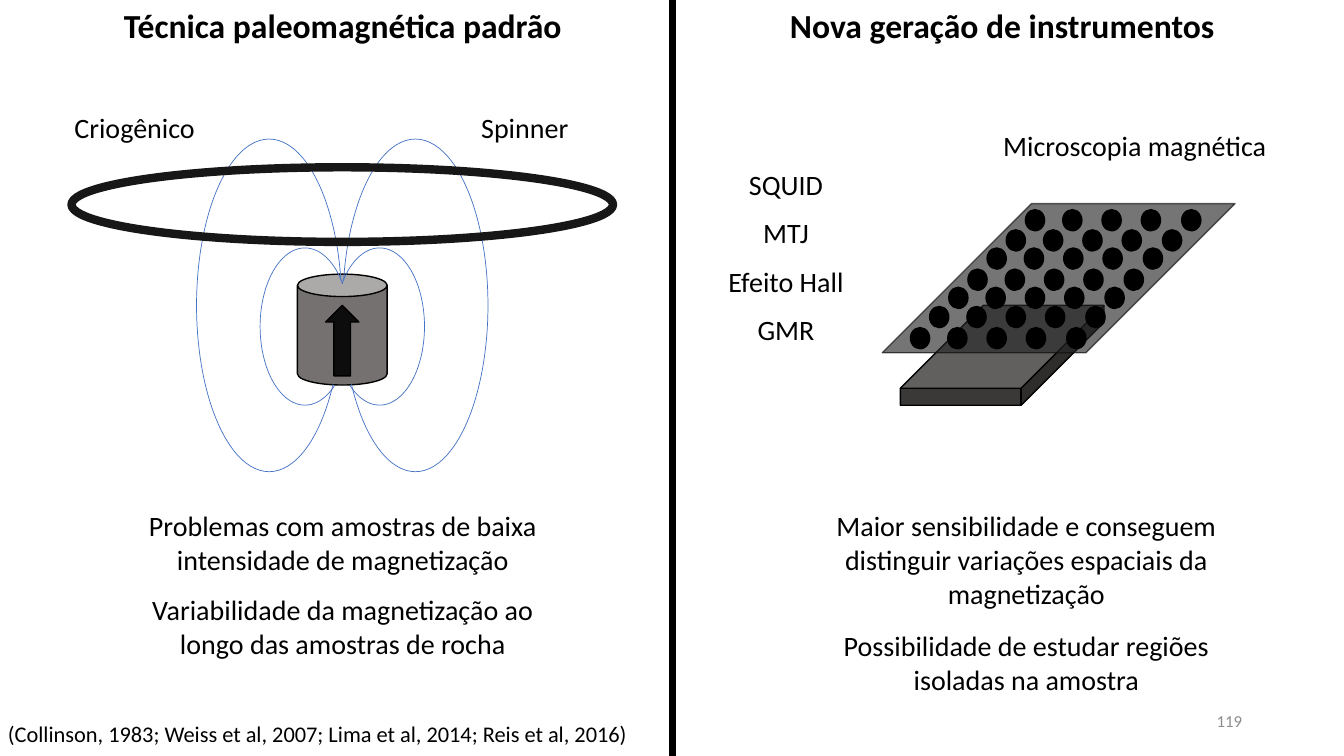
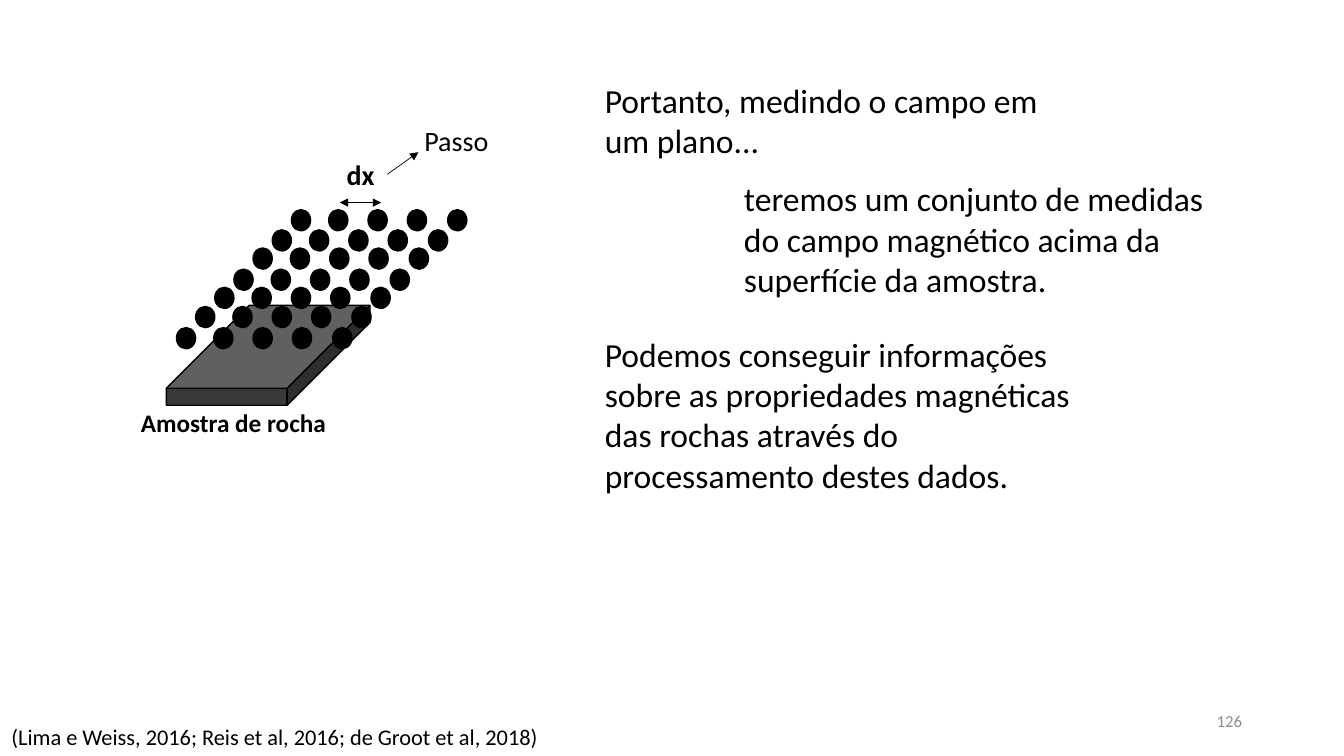
from dataclasses import dataclass
from lxml.etree import SubElement
from pptx import Presentation
from pptx.dml.color import RGBColor
from pptx.enum.shapes import MSO_CONNECTOR, MSO_SHAPE
from pptx.enum.text import MSO_ANCHOR, MSO_AUTO_SIZE, PP_ALIGN
from pptx.oxml.ns import qn
from pptx.util import Inches, Pt


@dataclass(frozen=True)
class Theme:
    font: str = "Calibri"
    black: str = "000000"
    coal: str = "0D0D0D"
    ring: str = "181717"
    plane: str = "262626"
    slab: str = "3B3838"
    core: str = "767171"
    field: str = "4472C4"
    mute: str = "8C8C8C"
    head: int = 24
    body: int = 20
    label: int = 18
    cite: int = 16
    page: int = 12


THEME = Theme()
LEFT, MID, RIGHT = PP_ALIGN.LEFT, PP_ALIGN.CENTER, PP_ALIGN.RIGHT
COLS = (0, 0.37, 0.76, 1.15, 1.55)
ROWS = (3.25, 3.04, 2.85, 2.67, 2.46, 2.28, 2.08)
SLANT = 0.19


def apply(item, vals):
    for key, val in vals.items():
        setattr(item, key, val)


class Deck:
    def __init__(self, theme):
        self.theme = theme
        self.prs = Presentation()
        apply(self.prs, {"slide_width": Inches(13.33), "slide_height": Inches(7.5)})

    def start(self, titled):
        layout = self.prs.slide_layouts[5 if titled else 6]
        self.slide = self.prs.slides.add_slide(layout)
        self.here = self.slide.shapes

    def group(self):
        self.here = self.slide.shapes.add_group_shape().shapes

    def leave(self):
        self.here = self.slide.shapes

    def style(self, box, words, size, bold, align, tone, anchor):
        frame = box.text_frame
        frame.text = words
        apply(frame, {
            "word_wrap": True,
            "auto_size": MSO_AUTO_SIZE.NONE,
            "vertical_anchor": anchor,
        })
        para = frame.paragraphs[0]
        para.alignment = align
        font = para.runs[0].font
        apply(font, {"name": self.theme.font, "size": Pt(size), "bold": bold})
        font.color.rgb = RGBColor.from_string(tone)

    def text(self, at, words, size=THEME.body, bold=False, align=MID,
             tone=THEME.black, anchor=MSO_ANCHOR.TOP):
        box = self.here.add_textbox(*map(Inches, at))
        self.style(box, words, size, bold, align, tone, anchor)

    def title(self, at, words):
        box = self.slide.shapes.title
        apply(box, dict(zip(("left", "top", "width", "height"), map(Inches, at))))
        self.style(box, words, self.theme.head, True, MID, self.theme.black, MSO_ANCHOR.TOP)

    def page(self, num):
        self.text((9.42, 6.95, 3, 0.4), num, self.theme.page, align=RIGHT,
                  tone=self.theme.mute, anchor=MSO_ANCHOR.MIDDLE)

    def ink(self, line, tone, width):
        line.color.rgb = RGBColor.from_string(tone)
        line.width = Pt(width)

    def shape(self, kind, at, fill=None, line=THEME.black, width=1, adj=(),
              flip=False, alpha=None):
        item = self.here.add_shape(kind, *map(Inches, at))
        item.shadow.inherit = False
        for num, val in enumerate(adj):
            item.adjustments[num] = val
        if fill:
            item.fill.solid()
            item.fill.fore_color.rgb = RGBColor.from_string(fill)
        else:
            item.fill.background()
        self.ink(item.line, line, width)
        props = item.element.spPr
        if flip:
            props.find(qn("a:xfrm")).set("flipH", "1")
        if alpha:
            for tone in props.iter(qn("a:srgbClr")):
                SubElement(tone, qn("a:alpha")).set("val", str(alpha * 1000))

    def line(self, ends, width, tips=()):
        item = self.here.add_connector(MSO_CONNECTOR.STRAIGHT, *map(Inches, ends))
        self.ink(item.line, self.theme.black, width)
        props = item.element.spPr
        for tip in tips:
            SubElement(props.find(qn("a:ln")), qn(f"a:{tip}")).set("type", "triangle")
        SubElement(props, qn("a:effectLst"))

    def sample(self, left, cover=False):
        theme = self.theme
        self.shape(MSO_SHAPE.CUBE, (left, 3.03, 2.02, 0.99), theme.slab, adj=(0.83,))
        if cover:
            self.shape(MSO_SHAPE.PARALLELOGRAM, (left - 0.18, 2.02, 3.5, 1.48),
                       theme.plane, theme.coal, adj=(1,), alpha=63)
        for col in COLS:
            for row, top in enumerate(ROWS):
                spot = (left + 0.1 + col + row * SLANT, top, 0.19, 0.21)
                self.shape(MSO_SHAPE.OVAL, spot, theme.black)


def methods(deck):
    theme = deck.theme
    deck.start(True)
    deck.text((-0.24, 7.1, 6.78, 0.37),
              "(Collinson, 1983; Weiss et al, 2007; Lima et al, 2014; Reis et al, 2016)",
              theme.cite)
    deck.line((6.67, 0, 6.67, 7.5), 4.75)
    deck.title((1.08, 0, 4.64, 0.5), "Técnica paleomagnética padrão")
    deck.text((7.62, 0, 4.64, 0.5), "Nova geração de instrumentos", theme.head, True)

    deck.shape(MSO_SHAPE.CAN, (2.95, 2.72, 0.89, 1.1), theme.core)
    deck.shape(MSO_SHAPE.UP_ARROW, (3.23, 3.03, 0.33, 0.7), theme.coal)
    for left, top, wide, high, adj in (
        (3.32, 2.46, 0.89, 1.56, (137.21, 70.11)),
        (3.4, 1.38, 1.44, 3.3, (119.38, 77.35)),
    ):
        for flip, edge in ((False, left), (True, 6.79 - left - wide)):
            deck.shape(MSO_SHAPE.ARC, (edge, top, wide, high), line=theme.field,
                       width=0.5, adj=adj, flip=flip)
    deck.shape(MSO_SHAPE.OVAL, (0.71, 1.66, 5.37, 0.74), line=theme.ring, width=6)
    deck.sample(8.93, cover=True)

    for at, words in (
        ((0.34, 1.05, 1.99, 0.44), "Criogênico"),
        ((4.21, 1.05, 1.99, 0.44), "Spinner"),
        ((9.79, 1.23, 2.93, 0.44), "Microscopia magnética"),
        ((1.08, 5, 4.64, 0.77),
         "Problemas com amostras de baixa intensidade de magnetização"),
        ((1.08, 5.83, 4.64, 0.77),
         "Variabilidade da magnetização ao longo das amostras de rocha"),
        ((7.86, 5, 4.64, 1.11),
         "Maior sensibilidade e conseguem distinguir variações espaciais da magnetização"),
        ((7.86, 6.19, 4.64, 0.77),
         "Possibilidade de estudar regiões isoladas na amostra"),
    ):
        deck.text(at, words)
    for num, words in enumerate(("SQUID", "MTJ", "Efeito Hall", "GMR")):
        deck.text((6.8, 1.61 + 0.48 * num, 1.99, 0.44), words)
    deck.page("119")


def survey(deck):
    theme = deck.theme
    deck.start(False)
    deck.text((-0.11, 7.13, 5.67, 0.37),
              "(Lima e Weiss, 2016; Reis et al, 2016; de Groot et al, 2018)", theme.cite)
    for left, top, high, words in (
        (5.9, 0.74, 0.91, "Portanto, medindo o campo em um plano..."),
        (7.28, 1.72, 1.31,
         "teremos um conjunto de medidas do campo magnético acima da superfície da amostra."),
        (5.9, 3.26, 1.72,
         "Podemos conseguir informações sobre as propriedades magnéticas das rochas "
         "através do processamento destes dados."),
    ):
        deck.text((left, top, 4.82, high), words, theme.head, align=LEFT)
    deck.text((4.11, 1.18, 1.52, 0.44), "Passo", align=LEFT)

    deck.group()
    deck.sample(1.65)
    deck.text((1.3, 3.99, 2.13, 0.4), "Amostra de rocha", theme.label, True, LEFT)
    deck.line((3.37, 2.01, 3.78, 2.01), 0.5, ("headEnd", "tailEnd"))
    deck.text((3.34, 1.51, 0.5, 0.44), "dx", bold=True, align=LEFT)
    deck.line((3.84, 1.73, 4.15, 1.51), 0.5, ("tailEnd",))
    deck.leave()
    deck.page("126")


def main():
    deck = Deck(THEME)
    methods(deck)
    survey(deck)
    deck.prs.save("out.pptx")


if __name__ == "__main__":
    main()
